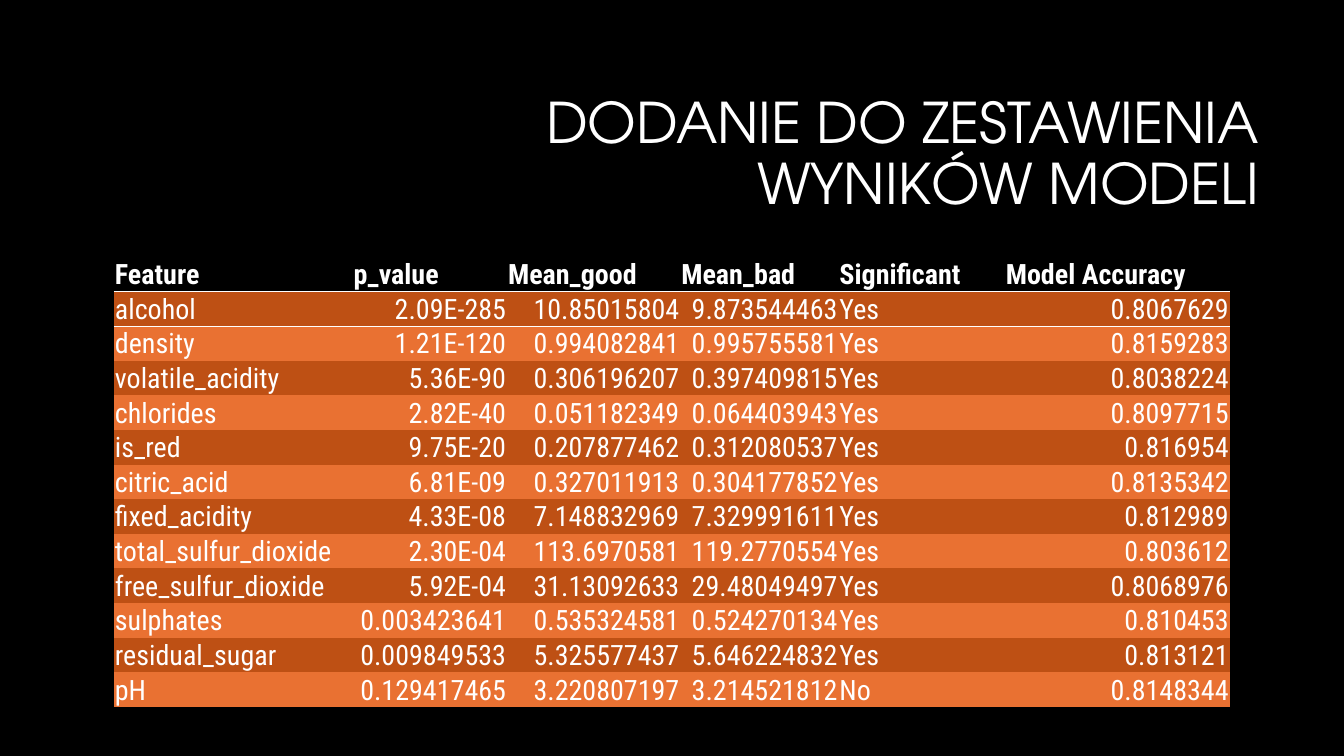
import pptx
import pptx.util
import pptx.dml.color
import pptx.enum.text
import pptx.oxml
import pptx.oxml.ns

Pt = pptx.util.Pt
ALIGN = pptx.enum.text.PP_ALIGN
ANCHOR = pptx.enum.text.MSO_ANCHOR

BLACK = pptx.dml.color.RGBColor(0x00, 0x00, 0x00)
WHITE = pptx.dml.color.RGBColor(0xFF, 0xFF, 0xFF)
DARK_ORANGE = pptx.dml.color.RGBColor(0xBE, 0x50, 0x14)
ORANGE = pptx.dml.color.RGBColor(0xE9, 0x71, 0x32)

NO_STYLE = "{2D5ABB26-0587-4C30-8999-92F81FD0307C}"
ROW_HEIGHT = 24.3
COLUMN_WIDTHS = [170.6, 110.2, 123.8, 113, 118.8, 160.6]
TEXT_COLUMNS = (0, 4)
ROWS = [
    ("Feature", "p_value", "Mean_good", "Mean_bad", "Significant", "Model Accuracy"),
    ("alcohol", "2.09E-285", "10.85015804", "9.873544463", "Yes", "0.8067629"),
    ("density", "1.21E-120", "0.994082841", "0.995755581", "Yes", "0.8159283"),
    ("volatile_acidity", "5.36E-90", "0.306196207", "0.397409815", "Yes", "0.8038224"),
    ("chlorides", "2.82E-40", "0.051182349", "0.064403943", "Yes", "0.8097715"),
    ("is_red", "9.75E-20", "0.207877462", "0.312080537", "Yes", "0.816954"),
    ("citric_acid", "6.81E-09", "0.327011913", "0.304177852", "Yes", "0.8135342"),
    ("fixed_acidity", "4.33E-08", "7.148832969", "7.329991611", "Yes", "0.812989"),
    ("total_sulfur_dioxide", "2.30E-04", "113.6970581", "119.2770554", "Yes", "0.803612"),
    ("free_sulfur_dioxide", "5.92E-04", "31.13092633", "29.48049497", "Yes", "0.8068976"),
    ("sulphates", "0.003423641", "0.535324581", "0.524270134", "Yes", "0.810453"),
    ("residual_sugar", "0.009849533", "5.325577437", "5.646224832", "Yes", "0.813121"),
    ("pH", "0.129417465", "3.220807197", "3.214521812", "No", "0.8148344"),
]


def add_text(paragraph, text, font_name, size, bold=False):
    run = paragraph.add_run()
    run.text = text
    run.font.name = font_name
    run.font.size = Pt(size)
    run.font.bold = bold
    run.font.color.rgb = WHITE


def add_border(cell, side):
    line = pptx.oxml.parse_xml(
        f'<a:{side} {pptx.oxml.ns.nsdecls("a")} w="{Pt(1)}"><a:solidFill>'
        f'<a:srgbClr val="{WHITE}"/></a:solidFill></a:{side}>')
    cell._tc.get_or_add_tcPr().insert(0, line)


presentation = pptx.Presentation()
presentation.slide_width = Pt(960)
presentation.slide_height = Pt(540)
slide = presentation.slides.add_slide(presentation.slide_layouts[6])
slide.background.fill.solid()
slide.background.fill.fore_color.rgb = BLACK

# Title
title = slide.shapes.add_textbox(Pt(228.2), Pt(60.5), Pt(678.2), Pt(101.5))
title.text_frame.word_wrap = True
title.text_frame.vertical_anchor = ANCHOR.MIDDLE
paragraph = title.text_frame.paragraphs[0]
paragraph.alignment = ALIGN.RIGHT
paragraph.line_spacing = 0.9
add_text(paragraph, "DODANIE DO ZESTAWIENIA WYNIKÓW MODELI", "TeX Gyre Adventor", 40)

# Table frame
table = slide.shapes.add_table(
    len(ROWS), len(COLUMN_WIDTHS), Pt(81.4), Pt(183.6),
    Pt(sum(COLUMN_WIDTHS)), Pt(ROW_HEIGHT * len(ROWS))).table
table._tbl.tblPr.find(pptx.oxml.ns.qn("a:tableStyleId")).text = NO_STYLE
table.horz_banding = False
for column, width in zip(table.columns, COLUMN_WIDTHS):
    column.width = Pt(width)

# Table cells
for row_index, values in enumerate(ROWS):
    is_header = row_index == 0
    table.rows[row_index].height = Pt(ROW_HEIGHT)
    if is_header:
        row_color = BLACK
    else:
        row_color = DARK_ORANGE if row_index % 2 else ORANGE
    for column_index, value in enumerate(values):
        cell = table.cell(row_index, column_index)
        cell.margin_left = cell.margin_right = cell.margin_top = Pt(0.7)
        cell.margin_bottom = Pt(0)
        cell.vertical_anchor = ANCHOR.BOTTOM
        cell.fill.solid()
        cell.fill.fore_color.rgb = row_color
        paragraph = cell.text_frame.paragraphs[0]
        is_text = is_header or column_index in TEXT_COLUMNS
        paragraph.alignment = ALIGN.LEFT if is_text else ALIGN.RIGHT
        add_text(paragraph, value, "Roboto Condensed", 20, is_header)
        # Rule between the header and the data
        if row_index < 2:
            add_border(cell, "lnB" if is_header else "lnT")

presentation.save("out.pptx")
